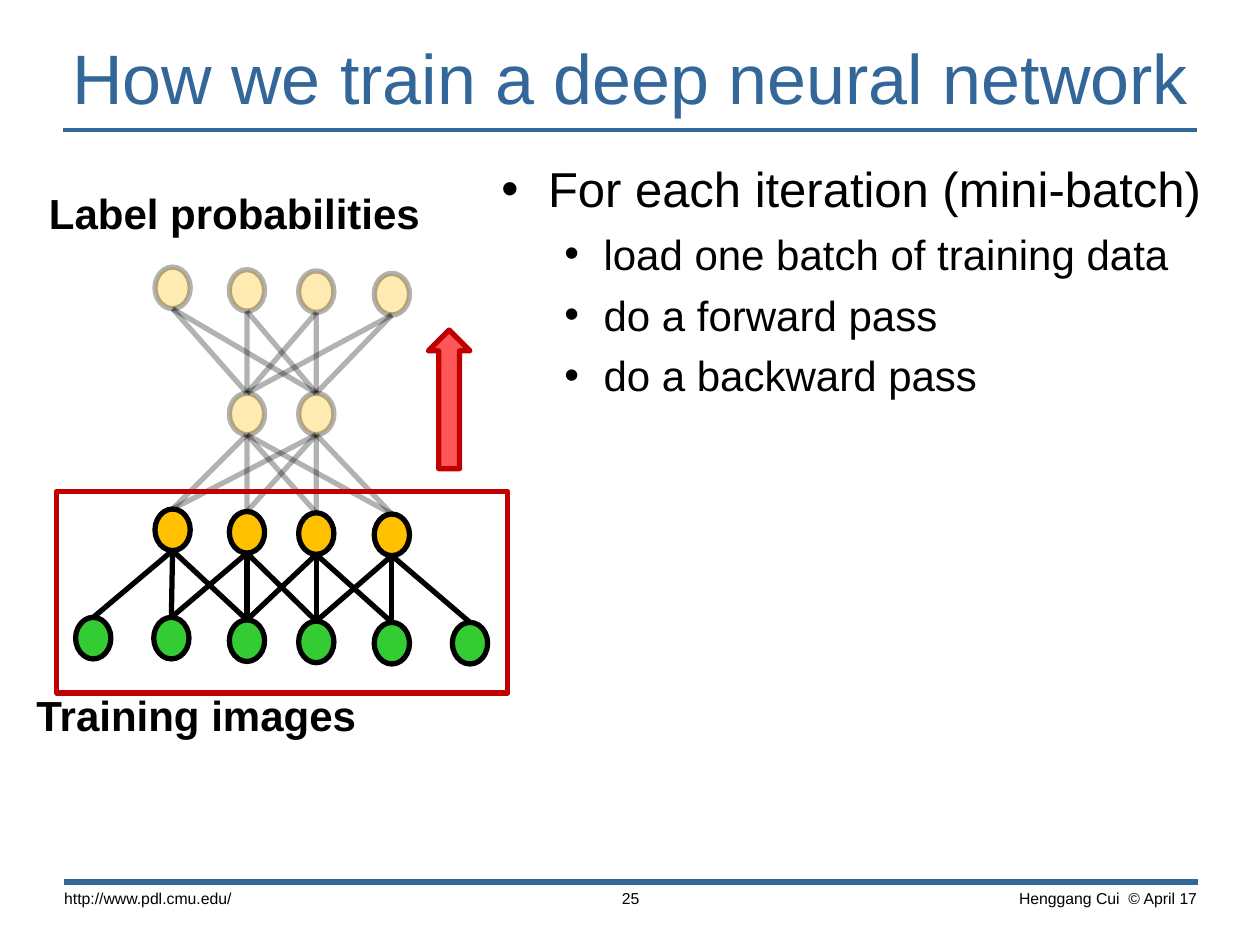
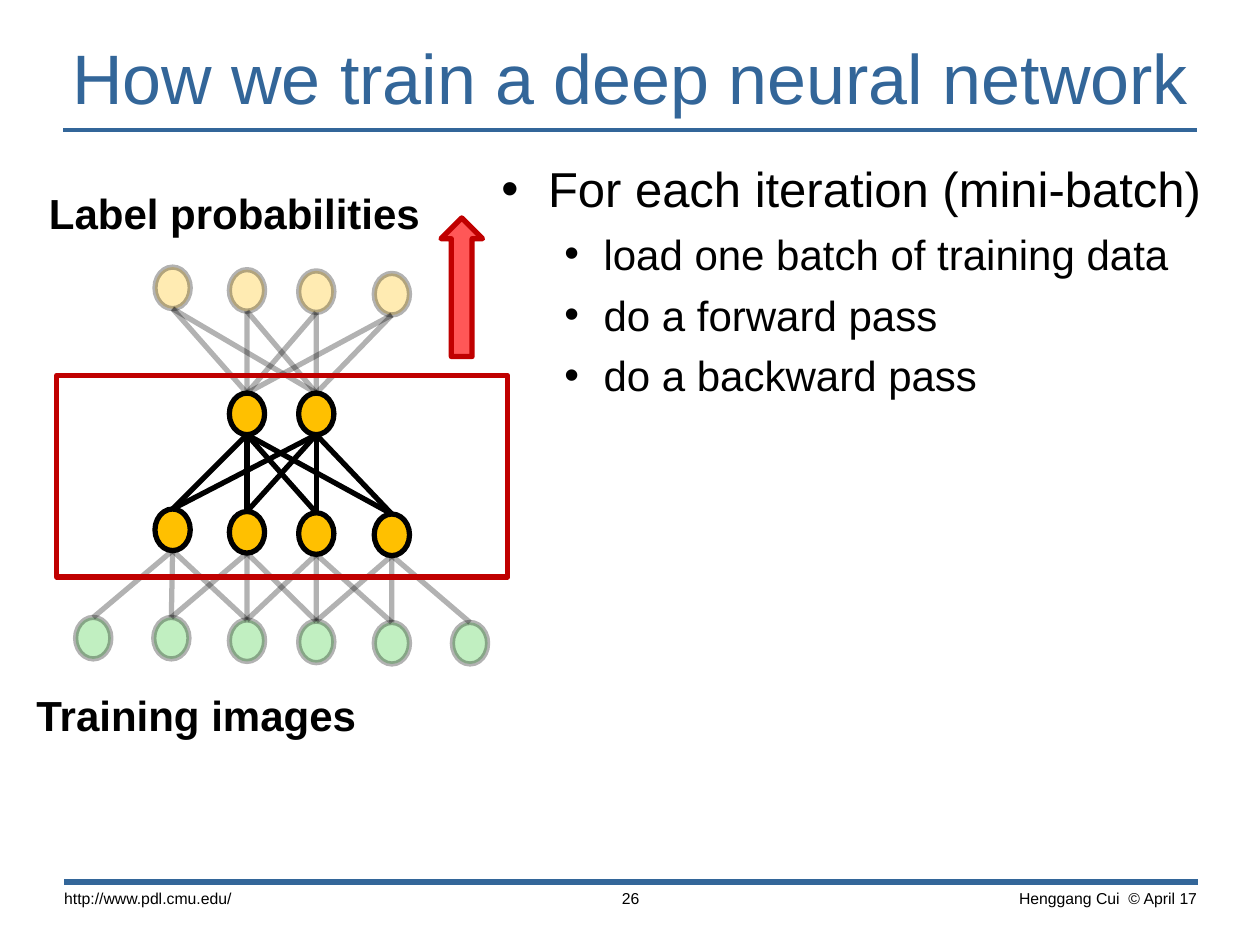
from itertools import product

from lxml.etree import SubElement
from pptx import Presentation
from pptx.dml.color import RGBColor
from pptx.enum.shapes import MSO_CONNECTOR, MSO_SHAPE
from pptx.enum.text import MSO_ANCHOR, MSO_AUTO_SIZE, PP_ALIGN
from pptx.oxml.ns import qn
from pptx.util import Inches, Pt

BLUE = RGBColor(0x33, 0x66, 0x99)
BLACK = RGBColor(0x00, 0x00, 0x00)
GREEN = RGBColor(0x33, 0xCC, 0x33)
AMBER = RGBColor(0xFF, 0xC0, 0x00)
RED = RGBColor(0xC0, 0x00, 0x00)
LIGHT_RED = RGBColor(0xFF, 0x57, 0x57)

TITLE = "How we train a deep neural network"
# (level, text)
STEPS = [
    (0, "For each iteration (mini-batch)"),
    (1, "load one batch of training data"),
    (1, "do a forward pass"),
    (1, "do a backward pass"),
]
# level: (text size, left margin, hanging indent)
STEP_STYLES = {0: (28, 0.37, 0.37), 1: (24, 0.81, 0.31)}

# text, left, top, width, height
LABELS = [
    ("Label probabilities", 0.29, 1.44, 3.42, 0.5),
    ("Training images", 0.19, 5.42, 3.42, 0.5),
]

# text, left, width, height, alignment; None stands for the page number
FOOTERS = [
    ("Henggang Cui  © April 17", 7.07, 2.54, 0.42, PP_ALIGN.RIGHT),
    ("http://www.pdl.cmu.edu/", 0.4, 2.5, 0.42, PP_ALIGN.LEFT),
    (None, 4.03, 1.95, 0.23, PP_ALIGN.CENTER),
]
FOOTER_TOP = 6.99

# left, right, height on the slide, line width
RULES = [(0.5, 9.5, 1.03, 2), (0.51, 9.51, 7, 3.5)]

# Layers from bottom to top: colour and the left, top of each node
NODE_WIDTH, NODE_HEIGHT = 0.28, 0.33
LAYERS = [
    (GREEN, [(0.6, 4.9), (1.22, 4.9), (1.82, 4.92), (2.37, 4.93), (2.97, 4.94), (3.59, 4.94)]),
    (AMBER, [(1.23, 4.04), (1.82, 4.06), (2.37, 4.07), (2.97, 4.08)]),
    (AMBER, [(1.82, 3.12), (2.37, 3.12)]),
    (AMBER, [(1.23, 2.12), (1.82, 2.14), (2.37, 2.15), (2.97, 2.17)]),
]
WINDOW = 3  # each node of the first hidden layer sees this many images
FADED_ALPHA = 30
OUTLINE = 3

# page number, lower layer of the active pair, top of the frame, arrow left and top
PAGES = [
    (25, 0, 3.9, 3.4, 2.62),
    (26, 1, 2.98, 3.5, 1.73),
]


def set_font(paragraph, size, color=BLACK, bold=False):
    font = paragraph.font
    for name, value in {"name": "Arial", "size": Pt(size), "bold": bold}.items():
        setattr(font, name, value)
    font.color.rgb = color


def place(shape, left, top, width, height):
    box = {"left": left, "top": top, "width": width, "height": height}
    for name, value in box.items():
        setattr(shape, name, Inches(value))


def fade(shape):
    """Make the fill and line of a shape mostly transparent."""
    for color in list(shape._element.spPr.iter(qn("a:srgbClr"))):
        SubElement(color, qn("a:alpha"), val=str(FADED_ALPHA * 1000))


def add_line(slide, start, end, color, width):
    points = [Inches(value) for value in (*start, *end)]
    line = slide.shapes.add_connector(MSO_CONNECTOR.STRAIGHT, *points)
    line.line.color.rgb = color
    line.line.width = Pt(width)
    SubElement(line._element.spPr, qn("a:effectLst"))
    return line


def add_outlined(slide, kind, box, line_color, fill_color=None):
    shape = slide.shapes.add_shape(kind, *[Inches(value) for value in box])
    shape.shadow.inherit = False
    if fill_color is None:
        shape.fill.background()
    else:
        shape.fill.solid()
        shape.fill.fore_color.rgb = fill_color
    shape.line.color.rgb = line_color
    shape.line.width = Pt(OUTLINE)
    return shape


def add_text(slide, text, box, size, bold=False, alignment=PP_ALIGN.LEFT, margins=(0.1, 0.05)):
    frame = slide.shapes.add_textbox(*[Inches(value) for value in box]).text_frame
    side, edge = (Inches(value) for value in margins)
    settings = {
        "word_wrap": True, "margin_left": side, "margin_right": side,
        "margin_top": edge, "margin_bottom": edge,
    }
    for name, value in settings.items():
        setattr(frame, name, value)
    paragraph = frame.paragraphs[0]
    paragraph.text = text
    paragraph.alignment = alignment
    set_font(paragraph, size, bold=bold)


def fill_title(title):
    place(title, 0, 0.23, 10, 0.75)
    frame = title.text_frame
    frame.text = TITLE
    frame.auto_size = MSO_AUTO_SIZE.NONE
    frame.vertical_anchor = MSO_ANCHOR.MIDDLE
    frame.paragraphs[0].alignment = PP_ALIGN.CENTER
    set_font(frame.paragraphs[0], 40, BLUE)


def fill_steps(body):
    place(body, 3.88, 1.21, 6.12, 5.08)
    frame = body.text_frame
    frame.text = "\n".join(text for _, text in STEPS)
    frame.auto_size = MSO_AUTO_SIZE.NONE
    for index, (paragraph, (level, _)) in enumerate(zip(frame.paragraphs, STEPS)):
        size, margin, hanging = STEP_STYLES[level]
        paragraph.level = level
        paragraph.space_before = Pt(6 if index else 0)
        properties = paragraph._p.get_or_add_pPr()
        properties.set("marL", str(Inches(margin)))
        properties.set("indent", str(-Inches(hanging)))
        SubElement(properties, qn("a:buFont"), typeface="Arial")
        SubElement(properties, qn("a:buChar"), char="•")
        set_font(paragraph, size)


def linked_pairs(lower):
    """Give the node pairs joined between a layer and the one above it."""
    below, above = LAYERS[lower][1], LAYERS[lower + 1][1]
    if lower == 0:
        return [(below[i + step], node) for i, node in enumerate(above) for step in range(WINDOW)]
    return product(below, above)


def draw_network(slide, active):
    """Draw all layers, fading those outside the active pair."""
    half = NODE_WIDTH / 2
    for index, (color, nodes) in enumerate(LAYERS):
        for left, top in nodes:
            box = (left, top, NODE_WIDTH, NODE_HEIGHT)
            node = add_outlined(slide, MSO_SHAPE.OVAL, box, BLACK, color)
            if index not in (active, active + 1):
                fade(node)
        if index == 0:
            continue
        for (x1, y1), (x2, y2) in linked_pairs(index - 1):
            start, end = (x1 + half, y1), (x2 + half, y2 + NODE_HEIGHT)
            link = add_line(slide, start, end, BLACK, OUTLINE)
            if index - 1 != active:
                fade(link)


def build_slide(presentation, number, active, frame_top, arrow_left, arrow_top):
    slide = presentation.slides.add_slide(presentation.slide_layouts[1])
    fill_title(slide.shapes.title)
    fill_steps(slide.placeholders[1])
    for left, right, y, width in RULES:
        add_line(slide, (left, y), (right, y), BLUE, width)
    for text, left, width, height, alignment in FOOTERS:
        box = (left, FOOTER_TOP, width, height)
        add_text(slide, text or str(number), box, 9, alignment=alignment, margins=(0.11, 0.06))
    draw_network(slide, active)
    add_outlined(slide, MSO_SHAPE.RECTANGLE, (0.45, frame_top, 3.58, 1.6), RED)
    for text, *box in LABELS:
        add_text(slide, text, box, 24, bold=True)
    arrow_box = (arrow_left, arrow_top, 0.33, 1.1)
    add_outlined(slide, MSO_SHAPE.UP_ARROW, arrow_box, RED, LIGHT_RED)


def main():
    presentation = Presentation()
    presentation.slide_width = Inches(10)
    presentation.slide_height = Inches(7.5)
    for page in PAGES:
        build_slide(presentation, *page)
    presentation.save("out.pptx")


if __name__ == "__main__":
    main()
